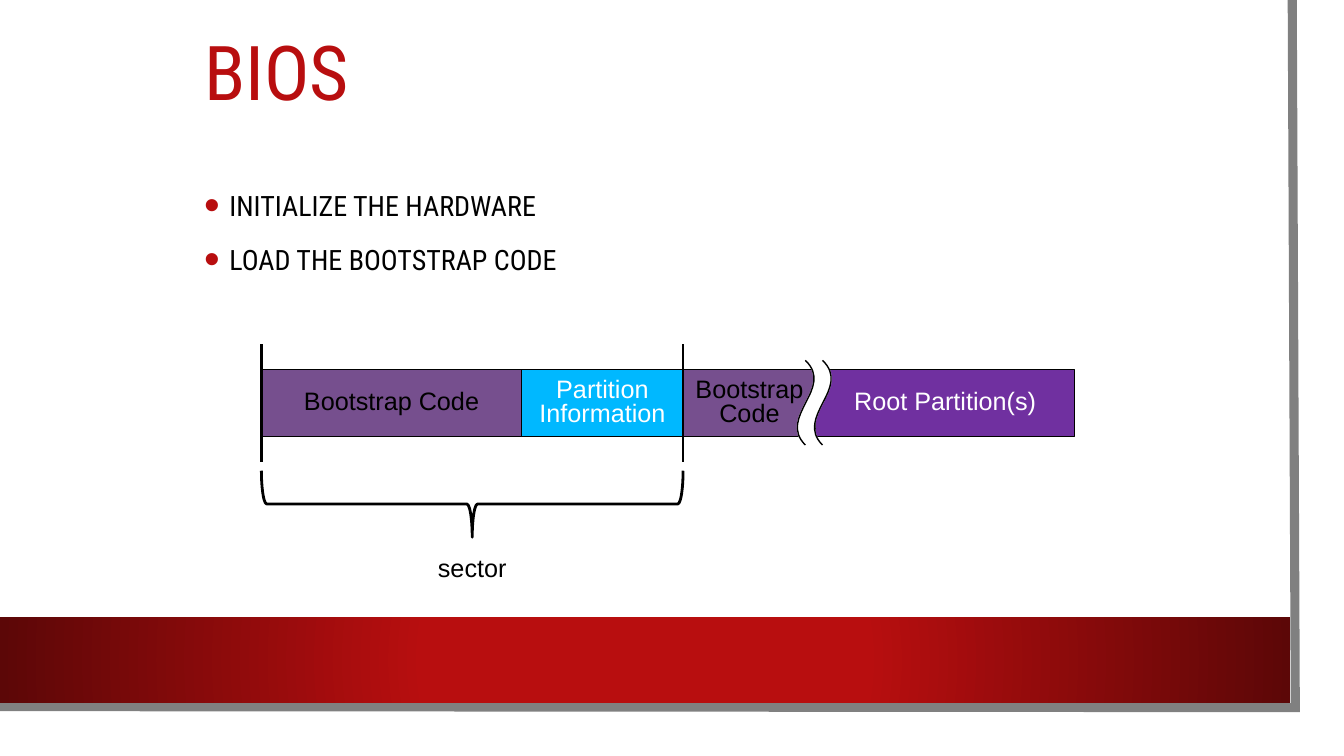
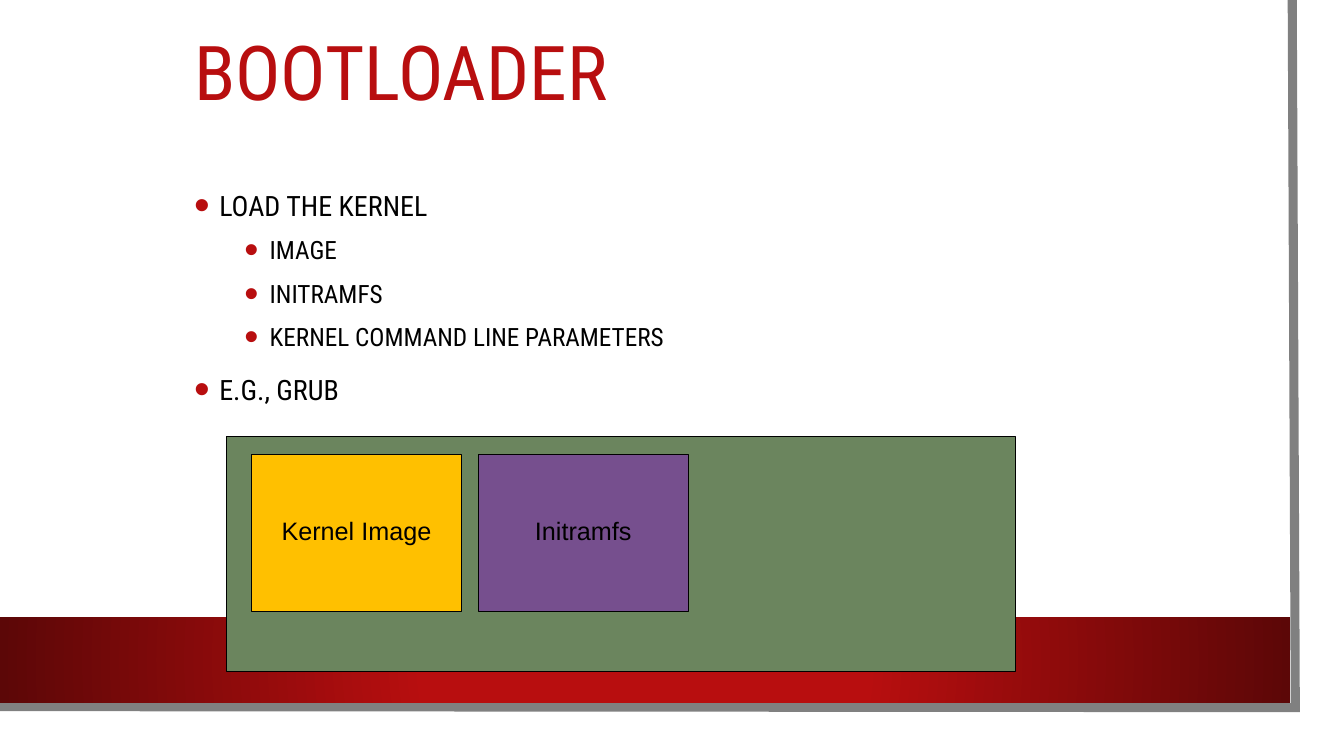
import itertools
from dataclasses import dataclass, field
from typing import Any, NamedTuple

import lxml.etree
import pptx
import pptx.dml.color
import pptx.enum.shapes
import pptx.enum.text
import pptx.oxml.ns
import pptx.util

WIDTH, HEIGHT = pptx.util.Inches(13.33), pptx.util.Inches(7.5)
COLUMNS, ROWS = 40, 30

Shapes = pptx.enum.shapes.MSO_SHAPE
Align = pptx.enum.text.PP_ALIGN
Anchor = pptx.enum.text.MSO_ANCHOR
qualified = pptx.oxml.ns.qn


@dataclass(frozen=True)
class Theme:
    white: str = "FFFFFF"
    black: str = "000000"
    red: str = "B80E0F"
    dark_red: str = "5C0707"
    gray: str = "808080"
    plum: str = "764F8E"
    purple: str = "7030A0"
    blue: str = "00B8FF"
    amber: str = "FFC000"
    green: str = "6B855E"
    thin: float = 0.75
    wave: float = 1
    bold: float = 2
    edge: float = 6.5
    title: dict[str, Any] = field(default_factory=lambda: {
        "name": "Roboto Condensed", "size": pptx.util.Pt(54)})
    levels: tuple[dict[str, Any], ...] = (
        {"name": "Roboto Condensed", "size": pptx.util.Pt(20)},
        {"name": "Roboto Condensed", "size": pptx.util.Pt(18)})
    label: dict[str, Any] = field(default_factory=lambda: {
        "name": "Arial", "size": pptx.util.Pt(18)})


THEME = Theme()


class Area(NamedTuple):
    column: float
    row: float
    columns: float
    rows: float


class Point(NamedTuple):
    column: float
    row: float


class Bullet(NamedTuple):
    text: str
    level: int = 0


class Block(NamedTuple):
    text: str
    columns: float
    fill: str
    ink: str = THEME.black


PAGE = Area(0, 0, 39.3, 29.08)
BAND = Area(0, 24.5, 38.4, 3.38)
PAGE_EDGE = [Point(38.46, 0), Point(38.55, 28.08), Point(-0.09, 28.04)]

DISK_START, DISK_ROWS = Point(7.78, 14.66), 2.68
DISK_BLOCKS = (
    Block("Bootstrap Code", 7.75, THEME.plum),
    Block("Partition Information", 4.8, THEME.blue, THEME.white),
    Block("Bootstrap Code", 3.95, THEME.plum),
    Block("Root Partition(s)", 7.7, THEME.purple, THEME.white),
)
SECTOR_BLOCKS = 2
WAVE = [Point(24.48, 14.3), Point(24.92, 14.86), Point(24.71, 15.42), Point(24.49, 15.98),
        Point(24.28, 16.54), Point(24.06, 17.1), Point(24.48, 17.66)]
WAVE_GAP = 0.51

MEMORY = Area(6.74, 17.34, 23.49, 9.32)
MEMORY_BLOCKS = (
    Block("Kernel Image", 6.24, THEME.amber),
    Block("Initramfs", 6.24, THEME.plum),
)


def across(columns: float) -> int:
    return round(WIDTH * columns / COLUMNS)


def down(rows: float) -> int:
    return round(HEIGHT * rows / ROWS)


def box(area: Area) -> tuple[int, int, int, int]:
    return across(area.column), down(area.row), across(area.columns), down(area.rows)


def color(value: str) -> pptx.dml.color.RGBColor:
    return pptx.dml.color.RGBColor.from_string(value)


def apply(target: Any, values: dict[str, Any]) -> None:
    for name, value in values.items():
        setattr(target, name, value)


def set_line(shape: Any, ink: str | None, width: float) -> None:
    if ink is None:
        shape.line.fill.background()
        return
    shape.line.color.rgb = color(ink)
    shape.line.width = pptx.util.Pt(width)


def paint(shape: Any, fill: str | None, ink: str | None, width: float = THEME.thin) -> Any:
    shape.shadow.inherit = False
    if fill is None:
        shape.fill.background()
    else:
        shape.fill.solid()
        shape.fill.fore_color.rgb = color(fill)
    set_line(shape, ink, width)
    return shape


def write(paragraph: Any, text: str, style: dict[str, Any], ink: str, **layout: Any) -> None:
    paragraph.text = text
    apply(paragraph, layout)
    apply(paragraph.font, style)
    paragraph.font.color.rgb = color(ink)


def add_rectangle(slide: Any, area: Area, fill: str, ink: str | None = None) -> Any:
    return paint(slide.shapes.add_shape(Shapes.RECTANGLE, *box(area)), fill, ink)


def add_block(slide: Any, block: Block, area: Area) -> None:
    shape = add_rectangle(slide, area, block.fill, THEME.black)
    inset = pptx.util.Inches(0.05)
    apply(shape.text_frame, {"word_wrap": True, "vertical_anchor": Anchor.MIDDLE,
                             "margin_left": inset, "margin_right": inset})
    write(shape.text_frame.paragraphs[0], block.text, THEME.label, block.ink,
          alignment=Align.CENTER, line_spacing=0.81)


def add_blocks(slide: Any, blocks: tuple[Block, ...], start: Point, rows: float,
               gap: float = 0) -> list[float]:
    steps = (block.columns + gap for block in blocks)
    edges = list(itertools.accumulate(steps, initial=start.column))
    for block, column in zip(blocks, edges):
        add_block(slide, block, Area(column, start.row, block.columns, rows))
    return edges


def add_text(slide: Any, area: Area) -> Any:
    frame = slide.shapes.add_textbox(*box(area)).text_frame
    frame.word_wrap = True
    return frame


def add_line(slide: Any, start: Point, end: Point) -> None:
    line = slide.shapes.add_connector(
        pptx.enum.shapes.MSO_CONNECTOR.STRAIGHT,
        across(start.column), down(start.row), across(end.column), down(end.row))
    set_line(line, THEME.black, THEME.bold)
    lxml.etree.SubElement(line.element.spPr, qualified("a:effectLst"))


def add_outline(slide: Any, points: list[Point], fill: str | None, ink: str, width: float,
                closed: bool = False) -> Any:
    corners = [(across(point.column), down(point.row)) for point in points]
    builder = slide.shapes.build_freeform(*corners[0])
    builder.add_line_segments(corners[1:], close=closed)
    return paint(builder.convert_to_shape(), fill, ink, width)


def bend(outline: Any) -> None:
    segments = list(outline.element.iter(qualified("a:lnTo")))
    for first in range(0, len(segments), 3):
        curve = lxml.etree.Element(qualified("a:cubicBezTo"))
        segments[first].addprevious(curve)
        for segment in segments[first:first + 3]:
            curve.append(segment[0])
            segment.getparent().remove(segment)


def add_page_edge(slide: Any) -> Any:
    edge = add_outline(slide, PAGE_EDGE, None, THEME.gray, THEME.edge)
    line = edge.element.spPr.find(qualified("a:ln"))
    lxml.etree.SubElement(line, qualified("a:miter"), lim="800000")
    return edge


def add_radial_band(slide: Any) -> Any:
    band = add_rectangle(slide, BAND, THEME.red)
    band.fill.gradient()
    stops = ((0.34, THEME.red), (1, THEME.dark_red))
    for stop, (position, value) in zip(band.fill.gradient_stops, stops):
        stop.position = position
        stop.color.rgb = color(value)
    gradient = band.element.spPr.find(qualified("a:gradFill"))
    gradient.remove(gradient.find(qualified("a:lin")))
    circle = lxml.etree.SubElement(gradient, qualified("a:path"), path="circle")
    lxml.etree.SubElement(circle, qualified("a:fillToRect"),
                          dict.fromkeys("ltrb", "50000"))
    return band


def furnish_layout(layout: Any, slide: Any) -> None:
    furniture = (add_rectangle(slide, PAGE, THEME.white), add_page_edge(slide),
                 add_radial_band(slide))
    for shape in furniture:
        layout.shapes.element.append(shape.element)


def add_bullet_mark(paragraph: Any, level: int) -> None:
    properties = paragraph._p.get_or_add_pPr()
    properties.set("marL", str(pptx.util.Inches(0.25 + 0.5 * level)))
    properties.set("indent", str(-pptx.util.Inches(0.25)))
    tint = lxml.etree.SubElement(properties, qualified("a:buClr"))
    lxml.etree.SubElement(tint, qualified("a:srgbClr"), val=THEME.red)
    lxml.etree.SubElement(properties, qualified("a:buSzPct"), val="160000")
    lxml.etree.SubElement(properties, qualified("a:buFont"), typeface="Arial")
    lxml.etree.SubElement(properties, qualified("a:buChar"), char="•")


def add_heading(slide: Any, title: str, bullets: tuple[Bullet, ...], column: float,
                rows: float) -> None:
    title_frame = add_text(slide, Area(column, 1.2, 26.97, 4.96))
    write(title_frame.paragraphs[0], title, THEME.title, THEME.red, line_spacing=0.9)
    frame = add_text(slide, Area(column, 7, 26.97, rows))
    for index, bullet in enumerate(bullets):
        paragraph = frame.add_paragraph() if index else frame.paragraphs[0]
        add_bullet_mark(paragraph, bullet.level)
        space = pptx.util.Pt((10, 5)[bullet.level] if index else 0)
        write(paragraph, bullet.text, THEME.levels[bullet.level], THEME.black,
              level=bullet.level, line_spacing=1.2, space_before=space)


def add_sector_mark(slide: Any, left: float, right: float) -> None:
    for column in (left, right):
        add_line(slide, Point(column, 13.66), Point(column, 18.32))
    center, length, depth = (left + right) / 2, across(right - left), down(2.64)
    brace = slide.shapes.add_shape(
        Shapes.LEFT_BRACE, across(center) - depth // 2, down(20) - length // 2, depth, length)
    brace.rotation = 270
    brace.adjustments[0] = 0.08
    paint(brace, None, THEME.black, THEME.bold)
    frame = add_text(slide, Area(center - 2.94, 21.72, 5.88, 1.6))
    write(frame.paragraphs[0], "sector", THEME.label, THEME.black, alignment=Align.CENTER)


def add_disk_break(slide: Any) -> None:
    left = [Point(point.column - WAVE_GAP, point.row) for point in WAVE]
    foot = [Point(WAVE[-1].column - WAVE_GAP * share / 3, WAVE[-1].row) for share in (1, 2)]
    bend(add_outline(slide, WAVE + foot + left[::-1], THEME.white, THEME.white,
                     THEME.wave, closed=True))
    for side in (WAVE, left):
        bend(add_outline(slide, side, None, THEME.black, THEME.wave))


def build_bios(slide: Any) -> None:
    add_heading(slide, "BIOS", (Bullet("INITIALIZE THE HARDWARE"),
                                Bullet("LOAD THE BOOTSTRAP CODE")), 5.78, 19.8)
    edges = add_blocks(slide, DISK_BLOCKS, DISK_START, DISK_ROWS)
    add_sector_mark(slide, edges[0], edges[SECTOR_BLOCKS])
    add_disk_break(slide)


def build_bootloader(slide: Any) -> None:
    add_rectangle(slide, MEMORY, THEME.green, THEME.black)
    add_heading(slide, "BOOTLOADER", (
        Bullet("LOAD THE KERNEL"), Bullet("IMAGE", 1), Bullet("INITRAMFS", 1),
        Bullet("KERNEL COMMAND LINE PARAMETERS", 1), Bullet("E.G., GRUB")), 5.48, 10)
    add_blocks(slide, MEMORY_BLOCKS, Point(7.49, 18.02), 6.24, 0.51)


def main() -> None:
    presentation = pptx.Presentation()
    apply(presentation, {"slide_width": WIDTH, "slide_height": HEIGHT})
    layout = presentation.slide_layouts[6]
    builders = (build_bios, build_bootloader)
    slides = [presentation.slides.add_slide(layout) for _ in builders]
    furnish_layout(layout, slides[0])
    for build, slide in zip(builders, slides):
        build(slide)
    presentation.save("out.pptx")


if __name__ == "__main__":
    main()
